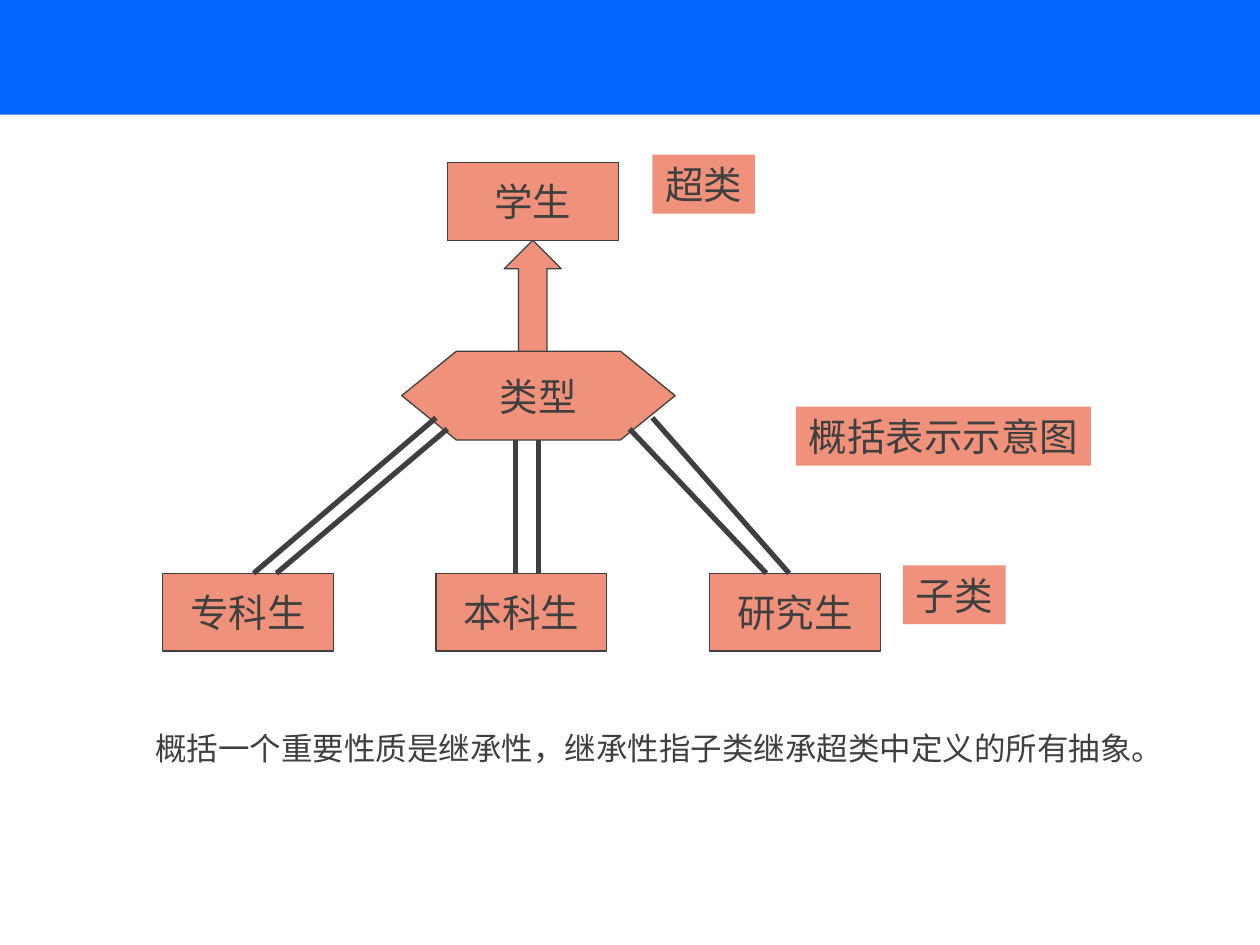
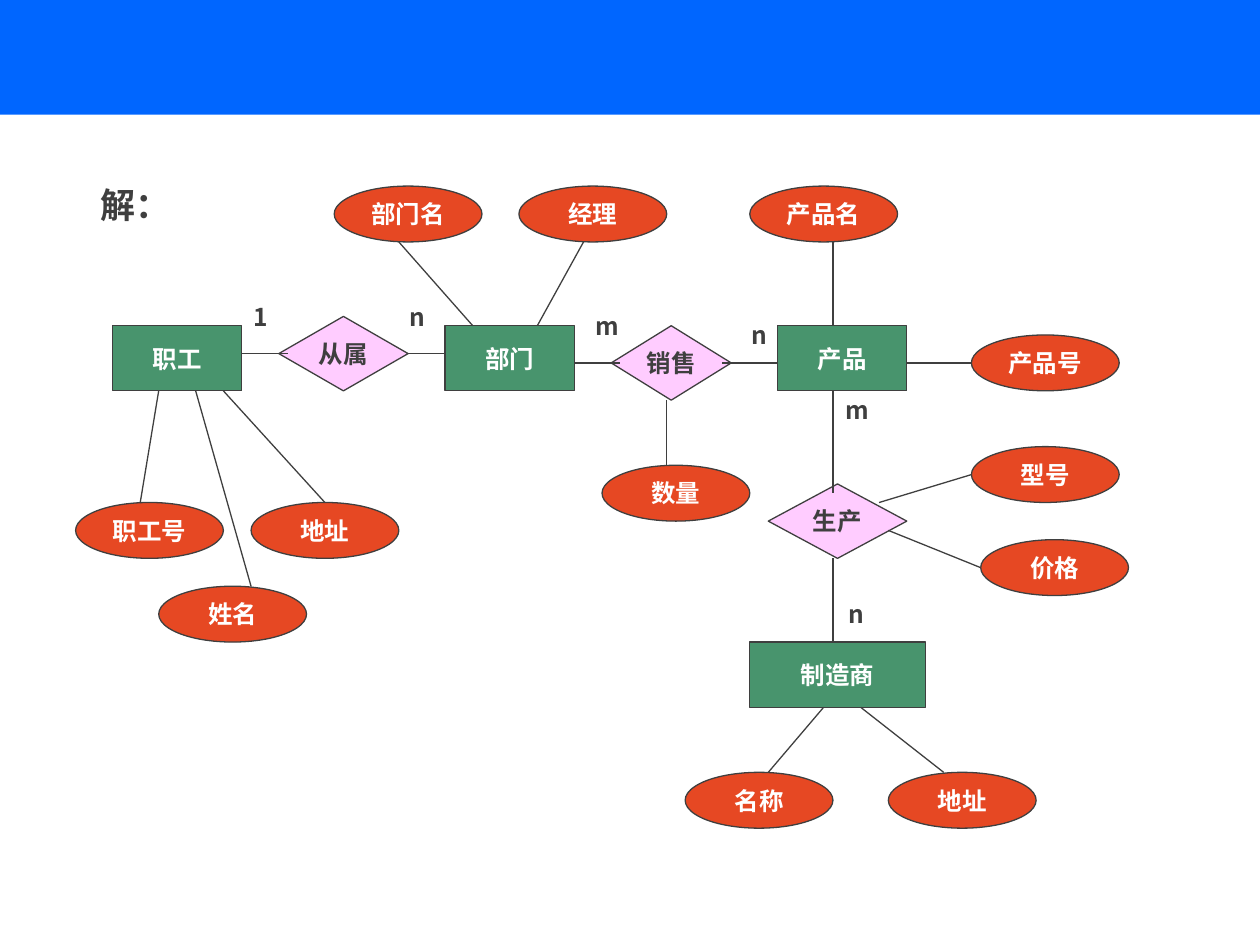
from dataclasses import dataclass

from lxml import etree
from pptx import Presentation
from pptx.dml.color import RGBColor
from pptx.enum import shapes, text
from pptx.oxml import ns
from pptx.util import Inches, Pt

WIDE, HIGH = 10, 7.5
KIND = shapes.MSO_SHAPE


@dataclass(frozen=True)
class Theme:
    font: str = "Noto Sans CJK SC"
    ink: str = "3F3F3F"
    white: str = "FFFFFF"
    band: str = "0066FF"
    coral: str = "F0917B"
    green: str = "48946D"
    pink: str = "FFCCFF"
    red: str = "E64823"
    node: int = 22
    note: int = 18
    head: int = 20
    small: int = 14
    thin: float = 0.75
    thick: float = 3


@dataclass(frozen=True)
class Grid:
    left: float
    top: float
    col: float
    row: float

    def spot(self, col, row):
        return Inches(self.left + col * self.col), Inches(self.top + row * self.row)

    def size(self, cols, rows):
        return Inches(cols * self.col), Inches(rows * self.row)


T = Theme()

# Class tree: places are (column, row), sizes are (columns, rows)
TREE = Grid(1.29, 1.29, 2.17 / 24, 3.26 / 37)
BOX = (15, 7)
PARENT = ("学生", 25, 0)
KIDS = ["专科生", "本科生", "研究生"]
KID_STEP, KID_ROW = 24, 37
HUB = ("类型", 21, 17, 24, 8)
ARROW = (30, 7, 5, 10)
TAGS = [
    ("超类", 43, -0.7, 9),
    ("子类", 65, 36.3, 9),
    ("概括表示示意图", 55.6, 22, 25.9),
]
TAG_ROWS = 5.3
RAILS = [
    (24, 23, 8, 37), (25, 24, 10, 37),
    (31, 25, 31, 37), (33, 25, 33, 37),
    (41, 24, 53, 37), (43, 23, 55, 37),
]
NOTE = ("概括一个重要性质是继承性，继承性指子类继承超类中定义的所有抽象。",
        -3.5, 50.5, 91.5, 4.5)

# Entity-relationship chart
CHART = Grid(0.6, 0, 7.11 / 97, 6.13 / 83)
HEAD = ("解：", 6.5, 22)
ENTITIES = [("职工", 4, 35, 14), ("部门", 40, 35, 14),
            ("产品", 76, 35, 14), ("制造商", 73, 69, 19)]
LINKS = [("从属", 22, 34, 14), ("销售", 58, 35, 13), ("生产", 75, 52, 15)]
FIELDS = [
    ("职工号", 0, 54), ("地址", 19, 54), ("姓名", 9, 63),
    ("部门名", 28, 20), ("经理", 48, 20),
    ("产品名", 73, 20), ("产品号", 97, 36),
    ("数量", 57, 50), ("型号", 97, 48), ("价格", 98, 58),
    ("名称", 66, 83), ("地址", 88, 83),
]
ENTITY_ROWS, LINK_ROWS, FIELD = 7, 8, (16, 6)
WIRES = [
    (18, 38, 23, 38), (36, 38, 40, 38),
    (54, 39, 59, 39), (70, 39, 76, 39),
    (82, 42, 82, 53), (82, 60, 82, 69),
    (9, 42, 7, 54), (13, 42, 19, 63), (16, 42, 27, 54),
    (35, 26, 43, 35), (55, 26, 50, 35),
    (82, 26, 82, 35), (90, 39, 97, 39),
    (64, 43, 64, 50), (87, 54, 97, 51), (88, 57, 98, 61),
    (81, 76, 75, 83), (85, 76, 94, 83),
]
COUNTS = [("1", 20, 34), ("n", 37, 34), ("m", 57.5, 35),
          ("n", 74, 36), ("m", 84.5, 44), ("n", 84.5, 66)]
COUNT_SIZE, HEAD_SIZE = (5, 4.5), (10.5, 6)


def rgb(code):
    return RGBColor.from_string(code)


def write(shape, words, size, color=T.ink, bold=False, wrap=False):
    frame = shape.text_frame
    frame.word_wrap = wrap
    frame.vertical_anchor = text.MSO_ANCHOR.MIDDLE
    para = frame.paragraphs[0]
    para.text = words
    para.alignment = text.PP_ALIGN.CENTER
    font = para.font
    font.name, font.size, font.bold = T.font, Pt(size), bold
    font.color.rgb = rgb(color)
    asian = etree.SubElement(font._rPr, ns.qn("a:ea"))
    asian.set("typeface", T.font)
    return para


def block(slide, kind, spot, size, fill, edge=True):
    shape = slide.shapes.add_shape(kind, *spot, *size)
    shape.shadow.inherit = False
    shape.fill.solid()
    shape.fill.fore_color.rgb = rgb(fill)
    if edge:
        shape.line.color.rgb = rgb(T.ink)
        shape.line.width = Pt(T.thin)
    else:
        shape.line.fill.background()
    return shape


def wire(slide, grid, ends, width):
    start, stop = grid.spot(*ends[:2]), grid.spot(*ends[2:])
    line = slide.shapes.add_connector(shapes.MSO_CONNECTOR.STRAIGHT, *start, *stop)
    line.line.color.rgb = rgb(T.ink)
    line.line.width = Pt(width)
    etree.SubElement(line._element.spPr, ns.qn("a:effectLst"))


def label(slide, grid, item, size, points):
    """Place bold text centred on a grid point."""
    words, col, row = item
    spot = grid.spot(col - size[0] / 2, row - size[1] / 2)
    box = slide.shapes.add_textbox(*spot, *grid.size(*size))
    write(box, words, points, bold=True)


def page(deck):
    slide = deck.slides.add_slide(deck.slide_layouts[6])
    block(slide, KIND.RECTANGLE, (0, 0), (Inches(WIDE), Inches(0.91)), T.band, False)
    return slide


def tree(deck):
    slide = page(deck)

    def node(kind, words, col, row, cols, rows, edge=True):
        shape = block(slide, kind, TREE.spot(col, row), TREE.size(cols, rows),
                      T.coral, edge)
        if words:
            write(shape, words, T.node)

    kids = [(kid, i * KID_STEP, KID_ROW) for i, kid in enumerate(KIDS)]
    for item in [PARENT, *kids]:
        node(KIND.RECTANGLE, *item, *BOX)
    node(KIND.FLOWCHART_PREPARATION, *HUB)
    node(KIND.UP_ARROW, "", *ARROW)
    for ends in RAILS:
        wire(slide, TREE, ends, T.thick)
    for tag in TAGS:
        node(KIND.RECTANGLE, *tag, TAG_ROWS, False)

    words, col, row, cols, rows = NOTE
    note = block(slide, KIND.RECTANGLE, TREE.spot(col, row),
                 TREE.size(cols, rows), T.white, False)
    para = write(note, words, T.note, wrap=True)
    para.alignment = text.PP_ALIGN.LEFT
    note.text_frame.margin_left = Inches(0.26)
    note.text_frame.margin_right = 0


def chart(deck):
    slide = page(deck)
    label(slide, CHART, HEAD, HEAD_SIZE, T.head)
    groups = [
        (KIND.RECTANGLE, [(*e, ENTITY_ROWS) for e in ENTITIES], T.green, T.white),
        (KIND.FLOWCHART_DECISION, [(*e, LINK_ROWS) for e in LINKS], T.pink, T.ink),
        (KIND.OVAL, [(*e, *FIELD) for e in FIELDS], T.red, T.white),
    ]
    for kind, items, fill, color in groups:
        for words, col, row, cols, rows in items:
            shape = block(slide, kind, CHART.spot(col, row),
                          CHART.size(cols, rows), fill)
            write(shape, words, T.small, color, bold=True)
    for ends in WIRES:
        wire(slide, CHART, ends, T.thin)
    for item in COUNTS:
        label(slide, CHART, item, COUNT_SIZE, T.small)


def main():
    deck = Presentation()
    deck.slide_width, deck.slide_height = Inches(WIDE), Inches(HIGH)
    tree(deck)
    chart(deck)
    deck.save("out.pptx")


if __name__ == "__main__":
    main()
